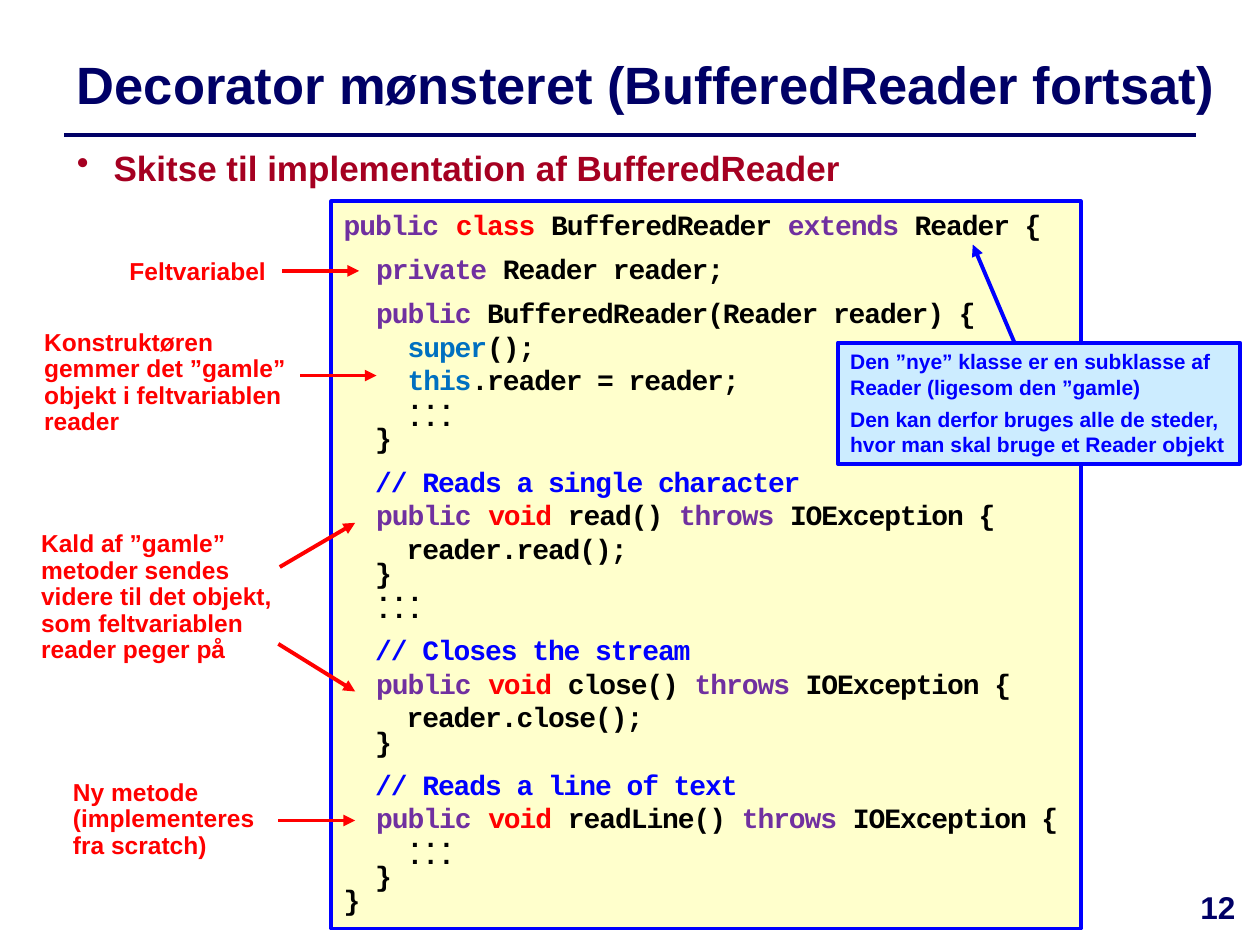
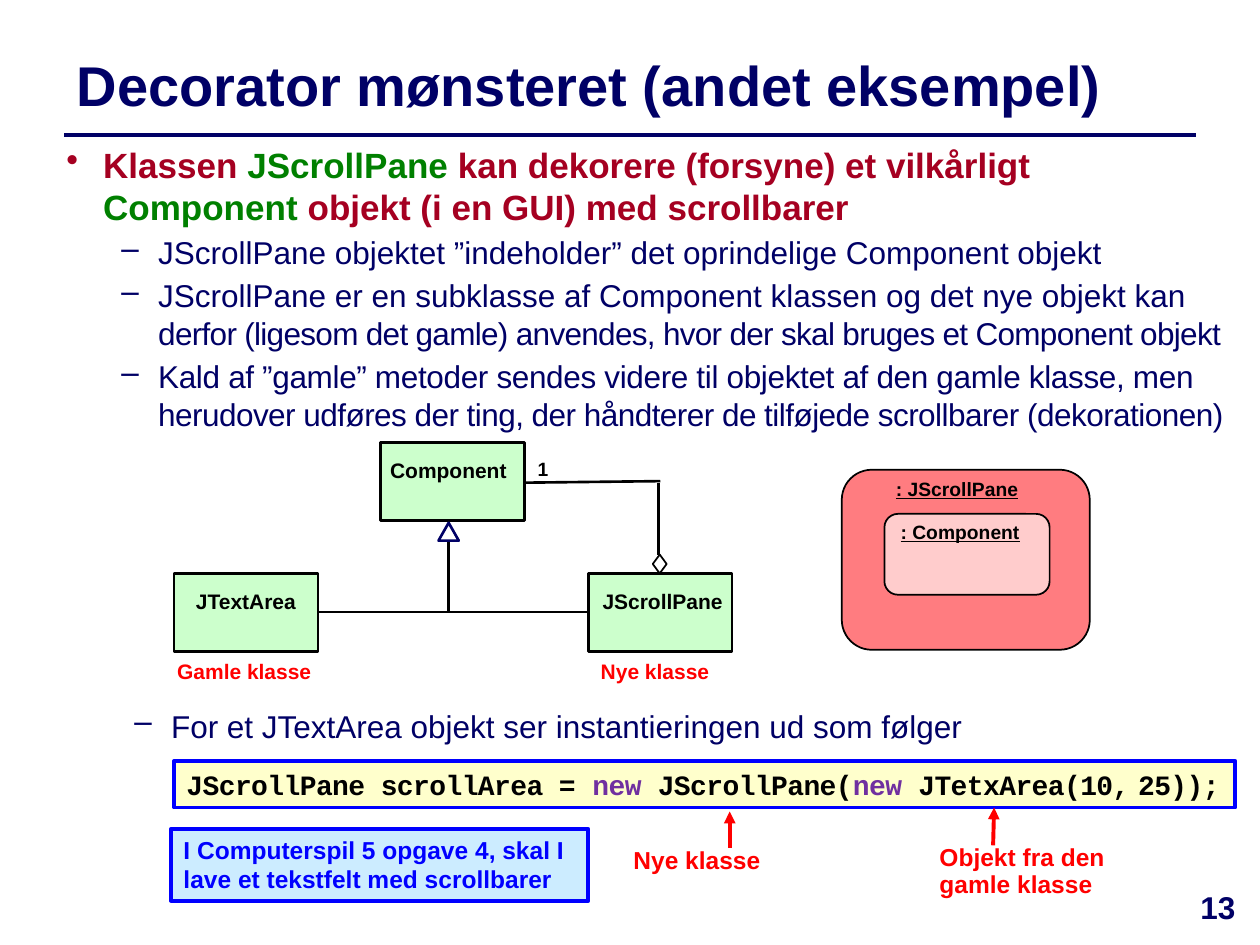
from lxml import etree
from pptx import Presentation
from pptx.dml.color import RGBColor
from pptx.enum.shapes import MSO_CONNECTOR, MSO_SHAPE
from pptx.enum.text import MSO_ANCHOR, PP_ALIGN
from pptx.oxml.ns import qn
from pptx.util import Cm, Pt

RECT, ROUND = MSO_SHAPE.RECTANGLE, MSO_SHAPE.ROUNDED_RECTANGLE
TRIANGLE, DIAMOND = MSO_SHAPE.ISOSCELES_TRIANGLE, MSO_SHAPE.DIAMOND
STRAIGHT = MSO_CONNECTOR.STRAIGHT
TOP, MIDDLE = MSO_ANCHOR.TOP, MSO_ANCHOR.MIDDLE
LEFT, CENTER = PP_ALIGN.LEFT, PP_ALIGN.CENTER

COLORS = {
    "navy": "000066", "crimson": "A50021", "green": "008000",
    "red": "FF0000", "blue": "0000FF", "black": "000000", "white": "FFFFFF",
    "purple": "7030A0", "azure": "0070C0", "cream": "FFFFCC",
    "sky": "CCECFF", "mint": "CCFFCC", "coral": "FF7C80", "rose": "FFCCCC",
}
KEYWORDS = {
    "public": "purple", "private": "purple", "extends": "purple",
    "throws": "purple", "new": "purple", "class": "red", "void": "red",
    "super": "azure", "this": "azure",
}
# Java blocks are set apart by a little space
READER_CODE = [
    ["public class BufferedReader extends Reader {"],
    ["  private Reader reader;"],
    ["  public BufferedReader(Reader reader) {",
     "    super();",
     "    this.reader = reader;",
     "    ...", "    ...", "  }"],
    ["  // Reads a single character",
     "  public void read() throws IOException {",
     "    reader.read();", "  }", "  ...", "  ..."],
    ["  // Closes the stream",
     "  public void close() throws IOException {",
     "    reader.close();", "  }"],
    ["  // Reads a line of text",
     "  public void readLine() throws IOException {",
     "    ...", "    ...", "  }", "}"],
]
CODE_SPACING = {"...": 0.5, "}": 0.7}


def rgb(name):
    return RGBColor.from_string(COLORS[name])


def code_runs(line):
    """Split a line of Java into coloured runs."""
    if line.strip().startswith("//"):
        return [(line, {"color": "blue"})]
    for word in KEYWORDS:
        line = line.replace(word, f"|{word}|")
    return [(part, {"color": KEYWORDS.get(part, "black")})
            for part in line.split("|") if part]


def add_text(tf, text, *, first=False, size=14, color="black", bold=True,
             font="Arial", underline=False, spc=0, align=LEFT, spacing=None,
             before=0, bullet=None, indent=0.74):
    """Add a paragraph; text is a string or a list of (text, format) runs."""
    p = tf.paragraphs[0] if first else tf.add_paragraph()
    p.alignment = align
    p.space_before = Pt(0 if first else before)
    if spacing:
        p.line_spacing = spacing
    if bullet:
        pPr = p._p.get_or_add_pPr()
        pPr.set("marL", str(Cm(indent)))
        pPr.set("indent", str(-Cm(0.74)))
        etree.SubElement(pPr, qn("a:buChar")).set("char", bullet)
    for part, own in [(text, {})] if isinstance(text, str) else text:
        r = p.add_run()
        r.text = part
        r.font.name = font
        r.font.size = Pt(own.get("size", size))
        r.font.bold = bold
        r.font.underline = underline
        r.font.color.rgb = rgb(own.get("color", color))
        tracking = own.get("spc", spc)
        if tracking:
            r._r.get_or_add_rPr().set("spc", str(round(tracking * 100)))


class Deck:
    def __init__(self):
        self.prs = Presentation()
        self.prs.slide_width, self.prs.slide_height = Cm(25.4), Cm(19.05)
        self.s = None

    def slide(self, title, number, size):
        self.s = self.prs.slides.add_slide(self.prs.slide_layouts[6])
        self.line(1.3, 2.72, 24.1, 2.72, "navy", 2)
        self.text(1.3, 0.74, 24.1, 1.9, title, anchor=MIDDLE,
                  size=size, color="navy")
        self.text(23.7, 17.78, 1.7, 1.27, str(number),
                  size=18, color="navy", align=CENTER)

    def text(self, x, y, w, h, text, anchor=TOP, **fmt):
        tf = self.s.shapes.add_textbox(Cm(x), Cm(y), Cm(w), Cm(h)).text_frame
        tf.word_wrap = True
        tf.vertical_anchor = anchor
        add_text(tf, text, first=True, **fmt)
        return tf

    def shape(self, kind, x, y, w, h, fill, line="black", width=1.5):
        sp = self.s.shapes.add_shape(kind, Cm(x), Cm(y), Cm(w), Cm(h))
        sp.shadow.inherit = False
        sp.fill.solid()
        sp.fill.fore_color.rgb = rgb(fill)
        sp.line.color.rgb = rgb(line)
        sp.line.width = Pt(width)
        tf = sp.text_frame
        tf.word_wrap = True
        tf.vertical_anchor = TOP
        return tf

    def line(self, x1, y1, x2, y2, color="black", width=1.5, arrow=False):
        c = self.s.shapes.add_connector(STRAIGHT, Cm(x1), Cm(y1),
                                        Cm(x2), Cm(y2))
        c.line.color.rgb = rgb(color)
        c.line.width = Pt(width)
        if arrow:
            etree.SubElement(c.line._get_or_add_ln(),
                             qn("a:tailEnd")).set("type", "triangle")
        etree.SubElement(c._element.spPr, qn("a:effectLst"))

    def arrow(self, x1, y1, x2, y2, color="red"):
        self.line(x1, y1, x2, y2, color, 2.25, arrow=True)

    def note(self, x, y, w, h, text):
        self.text(x, y, w, h, text, color="red", spacing=0.9)

    def label(self, x, y, w, h, text, size=12, **fmt):
        self.text(x, y, w, h, text, size=size, align=CENTER, spacing=0.9,
                  **fmt)

    def callout(self, x, y, w, h, paragraphs, size):
        tf = self.shape(RECT, x, y, w, h, "sky", "blue", 2.25)
        for i, text in enumerate(paragraphs):
            add_text(tf, text, first=i == 0, size=size, color="blue", before=4)

    def code(self, x, y, w, h, blocks, spc):
        """Each block is a list of lines; a line is a string or runs."""
        tf = self.shape(RECT, x, y, w, h, "cream", "blue", 2.25)
        for b, block in enumerate(blocks):
            for i, line in enumerate(block):
                plain = isinstance(line, str)
                add_text(tf, code_runs(line) if plain else line,
                         first=b == i == 0, size=16, font="Courier New",
                         spc=spc, before=0 if i else 6,
                         spacing=CODE_SPACING.get(line.strip())
                         if plain else None)


def reader_slide(d):
    d.slide("Decorator mønsteret (BufferedReader fortsat)", 12, 30)
    d.text(1.3, 2.82, 16.79, 1.12, "Skitse til implementation af BufferedReader",
           size=20, color="crimson", bullet="•")
    d.code(6.68, 4.06, 15.11, 14.66, READER_CODE, -0.6)

    # Notes on the left, with arrows into the code
    for box in [
        (2.36, 5.11, 3.56, 0.79, "Feltvariabel"),
        (0.64, 6.53, 5.59, 2.41,
         "Konstruktøren gemmer det ”gamle” objekt i feltvariablen reader"),
        (0.58, 10.59, 5.59, 2.95,
         "Kald af ”gamle” metoder sendes videre til det objekt, "
         "som feltvariablen reader peger på"),
        (1.22, 15.6, 4.34, 1.88, "Ny metode (implementeres fra scratch)"),
    ]:
        d.note(*box)
    for ends in [(5.69, 5.46, 7.24, 5.46), (6.05, 7.57, 7.59, 7.57),
                 (5.64, 11.43, 7.16, 10.54), (5.61, 12.98, 7.16, 13.94),
                 (5.61, 16.54, 7.16, 16.54)]:
        d.arrow(*ends)

    # Callout about the subclass
    d.arrow(20.6, 7.26, 19.61, 4.93, "blue")
    d.callout(16.89, 6.91, 8.11, 2.44, [
        "Den ”nye” klasse er en subklasse af Reader (ligesom den ”gamle)",
        "Den kan derfor bruges alle de steder, "
        "hvor man skal bruge et Reader objekt"], 12)


def scroll_pane_slide(d):
    d.slide("Decorator mønsteret (andet eksempel)", 13, 32)
    sub = dict(size=18, color="navy", bold=False, bullet="–", indent=1.85)

    # Bullets
    green = {"color": "green"}
    tf = d.text(1.09, 2.77, 24, 6.1, [
        ("Klassen ", {}), ("JScrollPane", green),
        (" kan dekorere (forsyne) et vilkårligt ", {}), ("Component", green),
        (" objekt (i en GUI) med scrollbarer", {})],
        size=20, color="crimson", bullet="•")
    for text in [
        "JScrollPane objektet ”indeholder” det oprindelige Component objekt",
        [("JScrollPane er en subklasse af Component klassen "
          "og det nye objekt kan ", {}),
         ("derfor (ligesom det gamle) anvendes, "
          "hvor der skal bruges et Component objekt", {"spc": -0.4})],
        [("Kald af ”gamle” metoder sendes videre til objektet "
          "af den gamle klasse, men ", {"spc": -0.2}),
         ("herudover udføres der ting, der håndterer "
          "de tilføjede scrollbarer (dekorationen)", {"spc": -0.3})],
    ]:
        add_text(tf, text, before=3, **sub)
    d.text(1.35, 14.12, 19.15, 1.12,
           "For et JTextArea objekt ser instantieringen ud som følger", **sub)

    # Class diagram
    for x, y, name, label_x, label_w in [
        (7.67, 8.92, "Component", 7.59, 2.9),
        (3.51, 11.56, "JTextArea", 3.51, 2.9),
        (11.86, 11.56, "JScrollPane", 11.76, 3.2),
    ]:
        d.shape(RECT, x, y, 2.9, 1.57, "mint")
        d.label(label_x, y + 0.23, label_w, 0.69, name)
    for ends in [(11.86, 12.34, 6.4, 12.34), (9.04, 10.82, 9.04, 12.32),
                 (10.57, 9.73, 13.31, 9.7), (13.28, 9.73, 13.28, 11.18)]:
        d.line(*ends)
    d.shape(TRIANGLE, 8.84, 10.54, 0.41, 0.36, "white", "navy")
    d.shape(DIAMOND, 13.16, 11.18, 0.28, 0.38, "white", width=1)
    d.label(10.59, 9.14, 0.56, 0.61, "1", size=11)
    for x, name in [(2.79, "Gamle klasse"), (11.07, "Nye klasse")]:
        d.label(x, 13.21, 4.27, 0.71, name, color="red")

    # Object diagram
    d.shape(ROUND, 16.97, 9.47, 5, 3.63, "coral", width=1)
    d.label(17.35, 9.55, 3.89, 0.69, ": JScrollPane", size=11, underline=True)
    d.shape(ROUND, 17.83, 10.36, 3.33, 1.63, "rose", width=1)
    d.label(17.83, 10.41, 3.05, 0.69, ": Component", size=11, underline=True)

    # Code line, with a narrow space between the arguments
    call = (code_runs("JScrollPane scrollArea = new JScrollPane("
                      "new JTetxArea(10,")
            + [(" ", {"size": 8})] + code_runs("25));"))
    d.code(3.51, 15.34, 21.39, 0.94, [[call]], -0.3)
    d.note(12.52, 16.97, 3.78, 0.79, "Nye klasse")
    d.arrow(14.71, 17.09, 14.71, 16.36)
    d.note(18.69, 16.92, 3.87, 1.35, "Objekt fra den gamle klasse")
    d.arrow(20.02, 17.04, 20.04, 16.28)
    d.callout(3.45, 16.71, 8.41, 1.45, [
        "I Computerspil 5 opgave 4, skal I lave et tekstfelt med scrollbarer"],
        14)


def main():
    d = Deck()
    reader_slide(d)
    scroll_pane_slide(d)
    d.prs.save("out.pptx")


if __name__ == "__main__":
    main()
